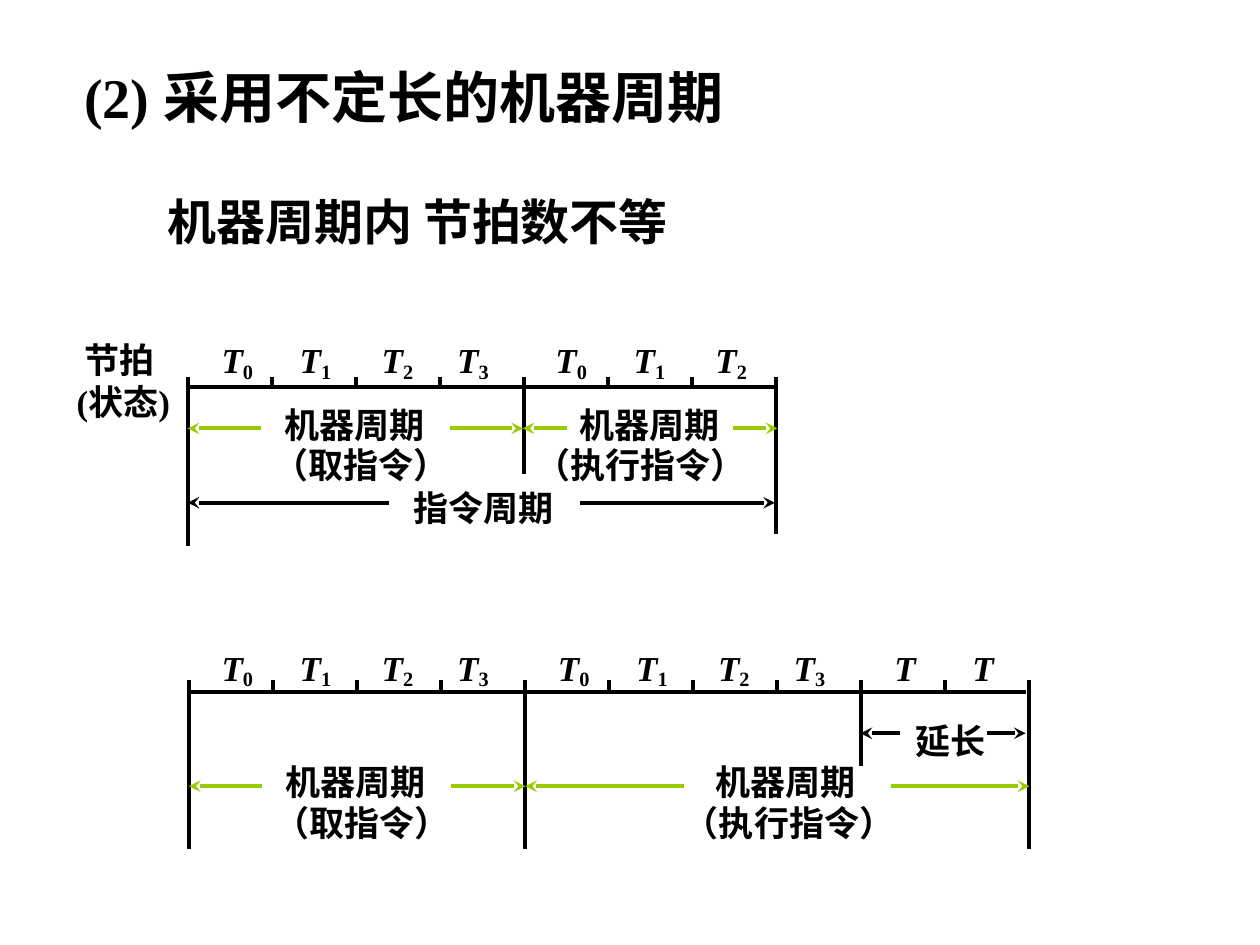
from dataclasses import dataclass

from lxml.etree import SubElement
from pptx import Presentation
from pptx.dml.color import RGBColor
from pptx.enum.shapes import MSO_CONNECTOR as Connector
from pptx.enum.text import MSO_AUTO_SIZE as AutoSize
from pptx.oxml.ns import qn
from pptx.util import Inches, Pt


@dataclass(frozen=True)
class Theme:
    font: str = "Times New Roman"
    black: RGBColor = RGBColor(0x00, 0x00, 0x00)
    green: RGBColor = RGBColor(0x99, 0xCC, 0x00)
    title: int = 32
    subtitle: int = 28
    label: int = 20
    line: float = 2.25


THEME = Theme()
BEAT = 2 / 3                              # width of one beat
BEAT_LABELS = (0.16, 0.78, 1.43, 2.03)    # label offsets within a cycle


def add_span(para, text, size, italic=False, baseline=0):
    span = para.add_run()
    span.text = text
    span.font.name = THEME.font
    span.font.size = Pt(size)
    span.font.bold = True
    span.font.italic = italic
    span.font.color.rgb = THEME.black
    if baseline:
        span.font._element.set("baseline", str(baseline * 1000))


def add_text(shapes, text, left, top, width, height=0.44, size=THEME.label,
             italic=False, subscript="", wrap=False):
    box = shapes.add_textbox(Inches(left), Inches(top), Inches(width), Inches(height))
    frame = box.text_frame
    frame.word_wrap = wrap
    frame.auto_size = AutoSize.SHAPE_TO_FIT_TEXT
    for index, row in enumerate(text.split("\n")):
        para = frame.add_paragraph() if index else frame.paragraphs[0]
        add_span(para, row, size, italic)
        if subscript:
            add_span(para, subscript, size, baseline=-15)


def add_line(shapes, x1, y1, x2, y2, color=THEME.black, arrow=False):
    line = shapes.add_connector(Connector.STRAIGHT, Inches(x1), Inches(y1),
                                Inches(x2), Inches(y2))
    line.line.color.rgb = color
    line.line.width = Pt(THEME.line)
    if arrow:
        SubElement(line.line._get_or_add_ln(), qn("a:tailEnd"), type="stealth")
    SubElement(line._element.spPr, qn("a:effectLst"))


def add_extent(shapes, y, start, end, gap, color=THEME.black):
    """Two arrows pointing outwards from the gap left for a label."""
    for inner, outer in zip(gap, (start, end)):
        add_line(shapes, inner, y, outer, y, color, arrow=True)


def add_scale(shapes, left, right, axis, top, beats, drops):
    """Time axis with a tick at each beat; drops gives the longer lines."""
    add_line(shapes, left, axis, right, axis)
    for beat in range(beats + 1):
        x = left + beat * BEAT
        add_line(shapes, x, top, x, drops.get(beat, axis))


def add_beats(shapes, start, top, subscripts):
    for offset, subscript in zip(BEAT_LABELS, subscripts):
        width = 0.45 if subscript else 0.37
        add_text(shapes, "T", start + offset, top, width,
                 italic=True, subscript=subscript)


def add_cycle(shapes, y, start, end, gap, name_left, note, note_left, note_width):
    add_extent(shapes, y, start, end, gap, THEME.green)
    add_text(shapes, "机器周期", name_left, y - 0.25, 1.33)
    add_text(shapes, note, note_left, y + 0.07, note_width)


def add_short_instruction(page):
    shapes = page.shapes.add_group_shape().shapes
    add_scale(shapes, 1.49, 6.15, 3.07, 2.99, 7, {0: 4.33, 4: 3.76, 7: 4.24})
    add_beats(shapes, 1.5, 2.64, "0123")
    add_beats(shapes, 4.15, 2.64, "012")
    add_cycle(shapes, 3.4, 1.49, 4.15, (2.07, 3.57), 2.16, "（取指令）", 2.07, 1.63)
    add_cycle(shapes, 3.4, 4.15, 6.17, (4.5, 5.82), 4.5, "（执行指令）", 4.15, 1.91)
    # Whole instruction cycle
    add_extent(shapes, 3.99, 1.49, 6.15, (3.09, 4.6))
    add_text(shapes, "指令周期", 3.18, 3.81, 1.33)


def add_extended_instruction(page):
    shapes = page.shapes.add_group_shape().shapes
    add_scale(shapes, 1.5, 8.14, 5.49, 5.4, 10, {0: 6.74, 4: 6.74, 8: 6.08, 10: 6.74})
    add_beats(shapes, 1.5, 5.08, "0123")
    add_beats(shapes, 4.17, 5.08, "0123")
    add_beats(shapes, 6.84, 5.08, ("", ""))
    add_cycle(shapes, 6.24, 1.5, 4.17, (2.08, 3.58), 2.17, "（取指令）", 2.08, 1.63)
    add_cycle(shapes, 6.24, 4.17, 8.17, (5.43, 7.07), 5.58, "（执行指令）", 5.33, 1.91)
    # Extension of the execute cycle
    add_extent(shapes, 5.82, 6.83, 8.14, (7.14, 7.83))
    add_text(shapes, "延长", 7.17, 5.66, 0.8)


def main():
    deck = Presentation()
    deck.slide_width, deck.slide_height = Inches(10), Inches(7.5)
    page = deck.slides.add_slide(deck.slide_layouts[6])

    # Headings
    add_text(page.shapes, "(2) 采用不定长的机器周期", 0.57, 0.45, 6.4, 0.64,
             size=THEME.title, wrap=True)
    add_text(page.shapes, "机器周期内 节拍数不等", 1.23, 1.47, 5.51, 0.57,
             size=THEME.subtitle, wrap=True)

    # Timing diagrams
    add_text(page.shapes, " 节拍\n(状态)", 0.51, 2.64, 1.15, 0.77)
    add_short_instruction(page)
    add_extended_instruction(page)

    deck.save("out.pptx")


if __name__ == "__main__":
    main()
